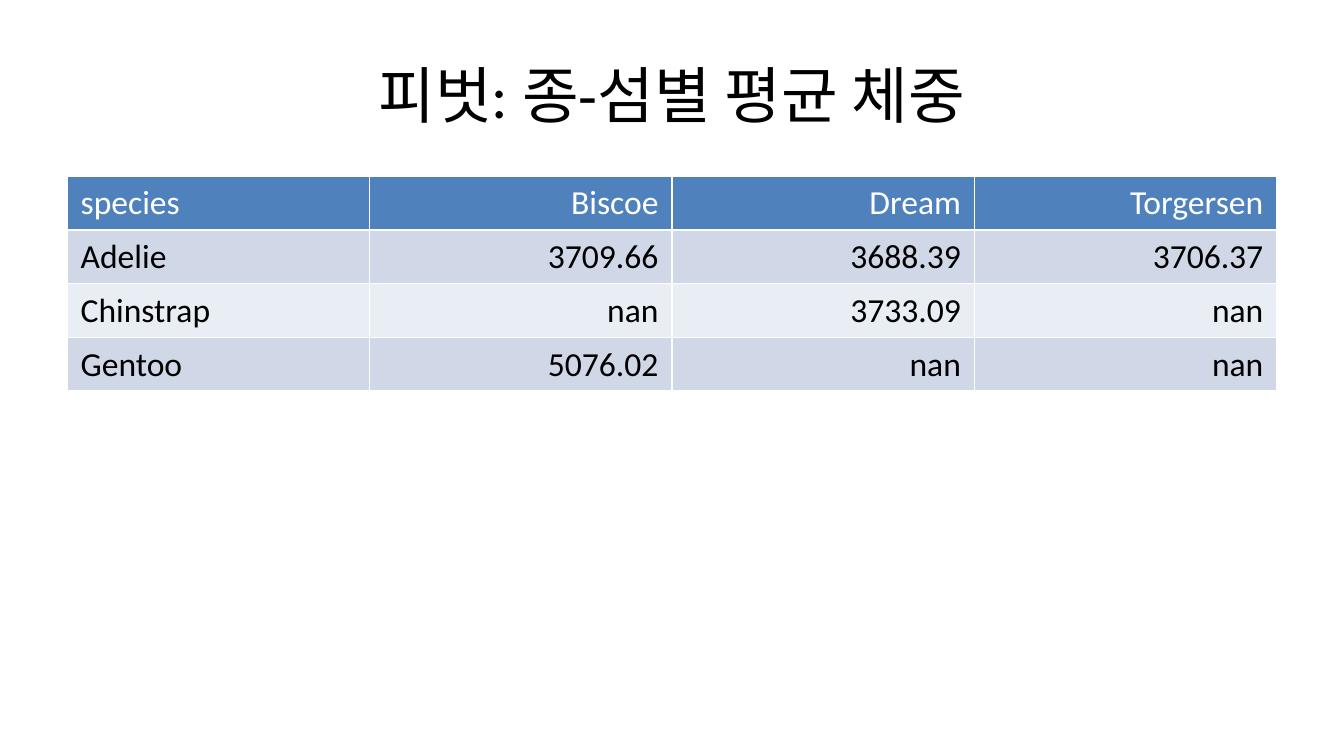
from pptx import Presentation
from pptx.dml.color import RGBColor
from pptx.enum.text import MSO_ANCHOR, PP_ALIGN
from pptx.util import Inches, Pt

FONT = "Calibri"
HEADER_FILL = "4F81BD"
BAND_FILLS = ["D0D8E8", "E9EDF4"]
ROWS = [
    ["species", "Biscoe", "Dream", "Torgersen"],
    ["Adelie", "3709.66", "3688.39", "3706.37"],
    ["Chinstrap", "nan", "3733.09", "nan"],
    ["Gentoo", "5076.02", "nan", "nan"],
]


def rgb(color):
    return RGBColor.from_string(color)


def set_text(tf, text, size, color, align):
    tf.text = text
    p = tf.paragraphs[0]
    p.alignment = align
    font = p.runs[0].font
    font.name = FONT
    font.size = Pt(size)
    font.bold = False
    font.color.rgb = rgb(color)


def add_title(s, text):
    sp = s.shapes.add_textbox(Inches(0.5), Inches(0.23), Inches(9), Inches(0.94))
    tf = sp.text_frame
    tf.word_wrap = True
    tf.vertical_anchor = MSO_ANCHOR.MIDDLE
    set_text(tf, text, 33, "000000", PP_ALIGN.CENTER)


def add_weight_table(s, rows):
    """Add the table; its default style supplies the white cell borders."""
    row_height = Inches(0.4)
    table = s.shapes.add_table(
        len(rows), len(rows[0]), Inches(0.5), Inches(1.31),
        Inches(9), row_height * len(rows),
    ).table
    for i, values in enumerate(rows):
        fill = BAND_FILLS[(i - 1) % 2] if i else HEADER_FILL
        color = "000000" if i else "FFFFFF"
        for j, value in enumerate(values):
            cell = table.cell(i, j)
            cell.fill.solid()
            cell.fill.fore_color.rgb = rgb(fill)
            align = PP_ALIGN.RIGHT if j else PP_ALIGN.LEFT
            set_text(cell.text_frame, value, 18, color, align)


def main():
    prs = Presentation()
    prs.slide_width = Inches(10)
    prs.slide_height = prs.slide_width * 9 // 16
    s = prs.slides.add_slide(prs.slide_layouts[6])
    add_title(s, "피벗: 종-섬별 평균 체중")
    add_weight_table(s, ROWS)
    prs.save("out.pptx")


if __name__ == "__main__":
    main()
